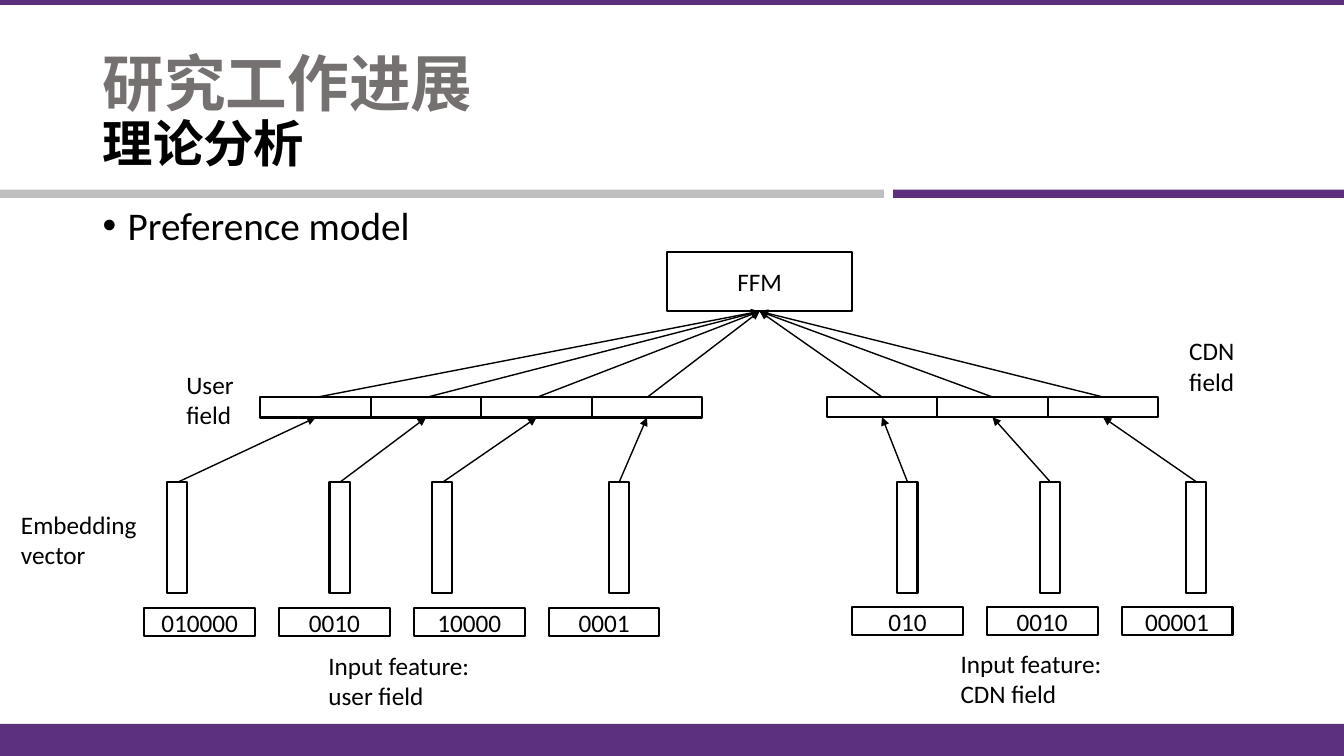
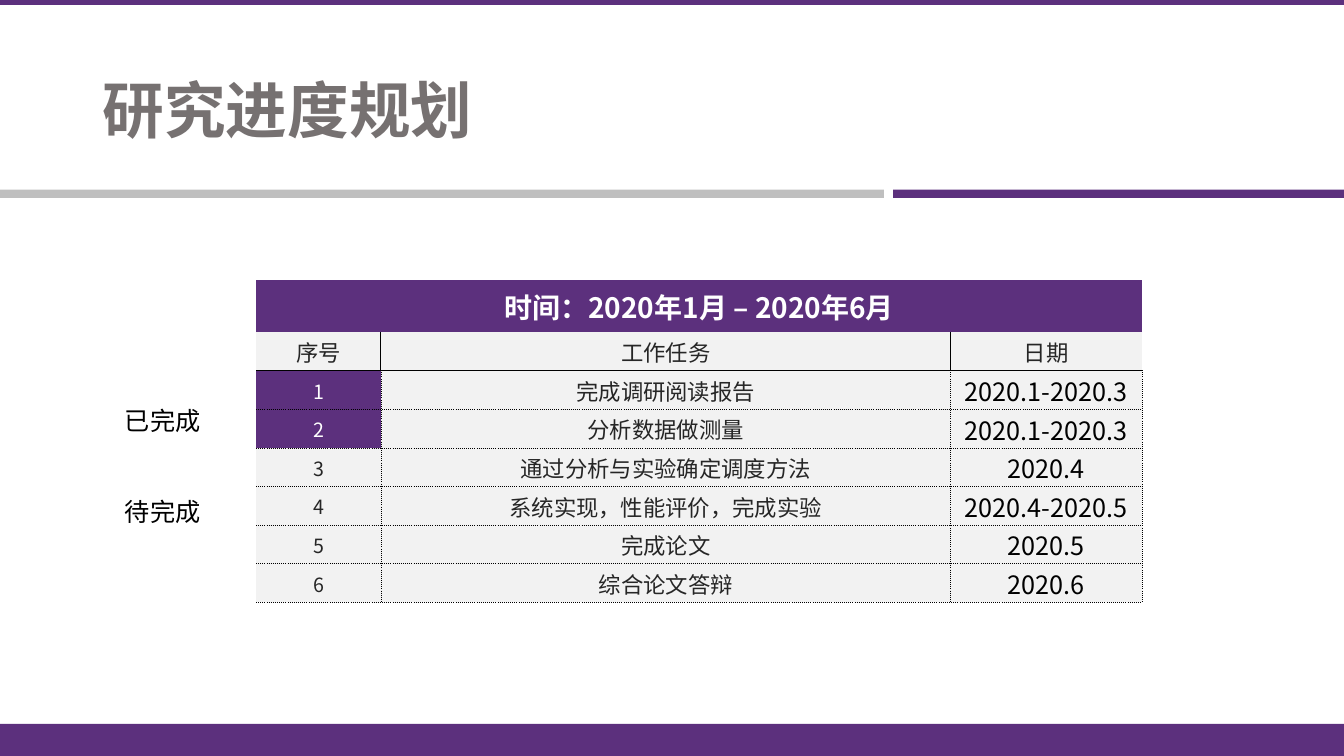
from lxml import etree
from pptx import Presentation
from pptx.dml.color import RGBColor
from pptx.enum import shapes, text
from pptx.oxml import ns
from pptx.util import Pt

PURPLE, GREY, SILVER, PALE = "5C307D", "767171", "BFBFBF", "F2F2F2"
BLACK, WHITE, DARK = "000000", "FFFFFF", "262626"
LATIN, CJK = "Calibri", "Noto Sans CJK SC"
LEFT, CENTER = text.PP_ALIGN.LEFT, text.PP_ALIGN.CENTER
MIDDLE, TOP = text.MSO_ANCHOR.MIDDLE, text.MSO_ANCHOR.TOP
rgb = RGBColor.from_string


def write(paragraph, words, size=18, color=BLACK, font=LATIN, bold=False, align=LEFT):
    paragraph.alignment = align
    run = paragraph.add_run()
    run.text = words
    for name, value in {"size": Pt(size), "name": font, "bold": bold}.items():
        setattr(run.font, name, value)
    run.font.color.rgb = rgb(color)
    east_asian = etree.SubElement(run.font._element, ns.qn("a:ea"))
    east_asian.set("typeface", font)


def box(slide, left, top, width, height, fill=None):
    rect = slide.shapes.add_shape(
        shapes.MSO_SHAPE.RECTANGLE, Pt(left), Pt(top), Pt(width), Pt(height))
    rect.shadow.inherit = False
    if fill:
        rect.fill.solid()
        rect.fill.fore_color.rgb = rgb(fill)
        rect.line.fill.background()
    else:
        rect.fill.background()
        rect.line.color.rgb = rgb(BLACK)
        rect.line.width = Pt(1.5)
    return rect


prs = Presentation()
prs.slide_width, prs.slide_height = Pt(960), Pt(540)

bands = [
    (0, -1.5, 960, 5, PURPLE),
    (0, 517, 960, 23, PURPLE),
    (0, 135.4, 631.4, 6, SILVER),
    (638, 135.4, 322, 6, PURPLE),
]
headings = [("研究工作进展", "理论分析"), ("研究进度规划", None)]
title_format = {"word_wrap": True, "auto_size": text.MSO_AUTO_SIZE.NONE,
                "vertical_anchor": MIDDLE}
title_place = {"left": 66.2, "top": 28.8, "width": 828, "height": 104.4}

slides = []
for heading, subheading in headings:
    slide = prs.slides.add_slide(prs.slide_layouts[5])
    for band in bands:
        box(slide, *band)
    title = slide.shapes.title
    for name, value in title_place.items():
        setattr(title, name, Pt(value))
    for name, value in title_format.items():
        setattr(title.text_frame, name, value)
    line = title.text_frame.paragraphs[0]
    line.line_spacing = 0.9
    write(line, heading, 44, GREY, CJK, True)
    if subheading:
        line.add_line_break()
        write(line, subheading, 36, BLACK, CJK, True)
    slides.append(slide)
model, schedule = slides

labels = [
    (model, "Preference model", 66.2, 144, 828, 45, 28, LATIN, TOP),
    (model, "Input feature: user field", 227.5, 460.8, 146, 51, 18, LATIN, TOP),
    (model, "Input feature: CDN field", 679, 459.4, 146, 51, 18, LATIN, TOP),
    (model, "Embedding vector", 7.9, 360, 109, 51, 18, LATIN, TOP),
    (model, "User field", 126, 259.9, 60.5, 51, 18, LATIN, TOP),
    (model, "CDN field", 842.4, 236.2, 60.5, 51, 18, LATIN, TOP),
    (schedule, "已完成", 82.1, 285, 87, 30, 18, CJK, MIDDLE),
    (schedule, "待完成", 82.1, 350, 87, 30, 18, CJK, MIDDLE),
]
for slide, words, left, top, width, height, size, font, anchor in labels:
    frame = slide.shapes.add_textbox(Pt(left), Pt(top), Pt(width), Pt(height)).text_frame
    frame.word_wrap = True
    frame.vertical_anchor = anchor
    line = frame.paragraphs[0]
    write(line, words, size, font=font)
    if size == 28:
        line.line_spacing = 0.9
        props = line._p.get_or_add_pPr()
        props.set("marL", str(Pt(18)))
        props.set("indent", str(Pt(-18)))
        etree.SubElement(props, ns.qn("a:buFont")).set("typeface", "Arial")
        etree.SubElement(props, ns.qn("a:buChar")).set("char", "•")

ffm = box(model, 476.6, 180, 132, 42.4)
captions = [(ffm, "FFM")]
arrows = []
fields = [
    (103, 434.2, 186, 283.9, 344.6,
     [("010000", 126.6), ("0010", 242.6), ("10000", 316), ("0001", 442.2)]),
    (608.6, 433.6, 590.6, 283.6, 344.2,
     [("010", 648.2), ("0010", 750.2), ("00001", 854.6)]),
]
for feature_left, feature_top, cell_left, cell_top, vector_top, features in fields:
    for i, (code, vector_center) in enumerate(features):
        feature = box(model, feature_left + 96.3 * i, feature_top, 79.2, 20.2)
        vector = box(model, vector_center - 7.2, vector_top, 14.4, 79.2)
        cell = box(model, cell_left + 78.9 * i, cell_top, 78.9, 14.4)
        captions.append((feature, code))
        arrows += [(vector, 0, cell), (cell, 0, ffm)]

for holder, words in captions:
    holder.text_frame.vertical_anchor = MIDDLE
    write(holder.text_frame.paragraphs[0], words, align=CENTER)

for source, site, target in arrows:
    arrow = model.shapes.add_connector(shapes.MSO_CONNECTOR.STRAIGHT, 0, 0, 0, 0)
    arrow.begin_connect(source, site)
    arrow.end_connect(target, 2)
    arrow.line.color.rgb = rgb(BLACK)
    arrow.line.width = Pt(1)
    etree.SubElement(arrow.line._get_or_add_ln(), ns.qn("a:tailEnd")).set("type", "triangle")
    etree.SubElement(arrow._element.spPr, ns.qn("a:effectLst"))

rows = [
    ("时间：2020年1月 – 2020年6月", "", ""),
    ("序号", "工作任务", "日期"),
    ("1", "完成调研阅读报告", "2020.1-2020.3"),
    ("2", "分析数据做测量", "2020.1-2020.3"),
    ("3", "通过分析与实验确定调度方法", "2020.4"),
    ("4", "系统实现，性能评价，完成实验", "2020.4-2020.5"),
    ("5", "完成论文", "2020.5"),
    ("6", "综合论文答辩", "2020.6"),
]
done = {"1", "2"}
widths = [89.2, 407, 136.6]
plan = schedule.shapes.add_table(
    len(rows), len(widths), Pt(182.9), Pt(200), Pt(sum(widths)), Pt(230.4)).table
plan.first_row = plan.horz_banding = False
plan._tbl.tblPr[0].text = "{2D5ABB26-0587-4C30-8999-92F81FD0307C}"
for column, width in zip(plan.columns, widths):
    column.width = Pt(width)
plan.cell(0, 0).merge(plan.cell(0, 2))
cell_format = {"margin_left": Pt(0.72), "margin_right": Pt(0.72), "margin_top": Pt(0.72),
               "margin_bottom": 0, "vertical_anchor": MIDDLE}

for r, row in enumerate(rows):
    plan.rows[r].height = Pt(27.6 if r else 37.2)
    for c, words in enumerate(row):
        cell = plan.cell(r, c)
        for name, value in cell_format.items():
            setattr(cell, name, value)
        sides = "LRTB" if r > 1 else "LRB" if r else ""
        if c == 0:
            sides = sides.replace("L", "")
        if r == 1 and c == 2:
            sides = sides.replace("R", "")
        for side in sides:
            solid = r == 1 or (r == 2 and side == "T")
            border = etree.SubElement(cell._tc.get_or_add_tcPr(), ns.qn("a:ln" + side))
            border.set("w", str(Pt(1 if solid else 0.5)))
            ink = etree.SubElement(border, ns.qn("a:solidFill"))
            etree.SubElement(ink, ns.qn("a:srgbClr")).set("val", BLACK)
            dash = etree.SubElement(border, ns.qn("a:prstDash"))
            dash.set("val", "solid" if solid else "sysDot")
        strong = r == 0 or (c == 0 and words in done)
        cell.fill.solid()
        cell.fill.fore_color.rgb = rgb(PURPLE if strong else PALE)
        if words:
            size = 20 if r == 0 else 16 if r == 1 else (14, 16, 18)[c]
            color = WHITE if strong else BLACK if r > 1 and c == 2 else DARK
            write(cell.text_frame.paragraphs[0], words, size, color, CJK, r == 0, CENTER)

prs.save("out.pptx")
